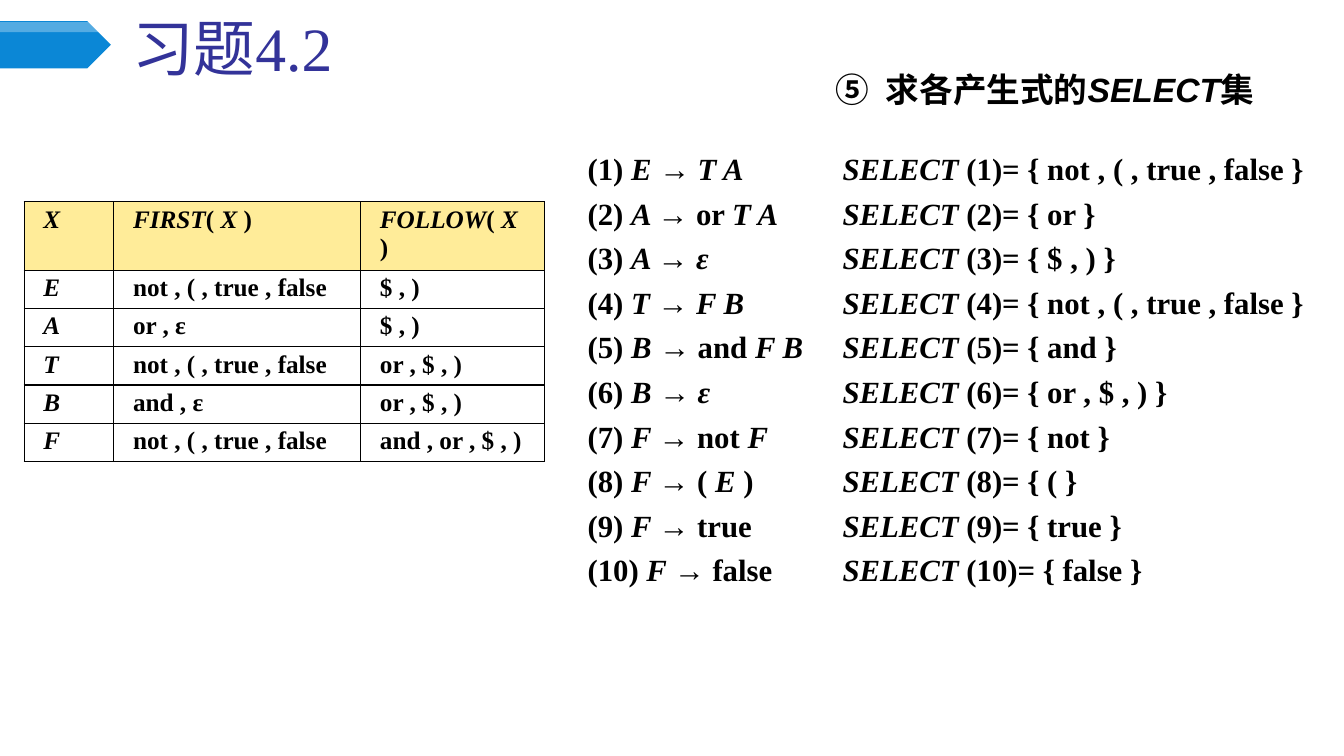
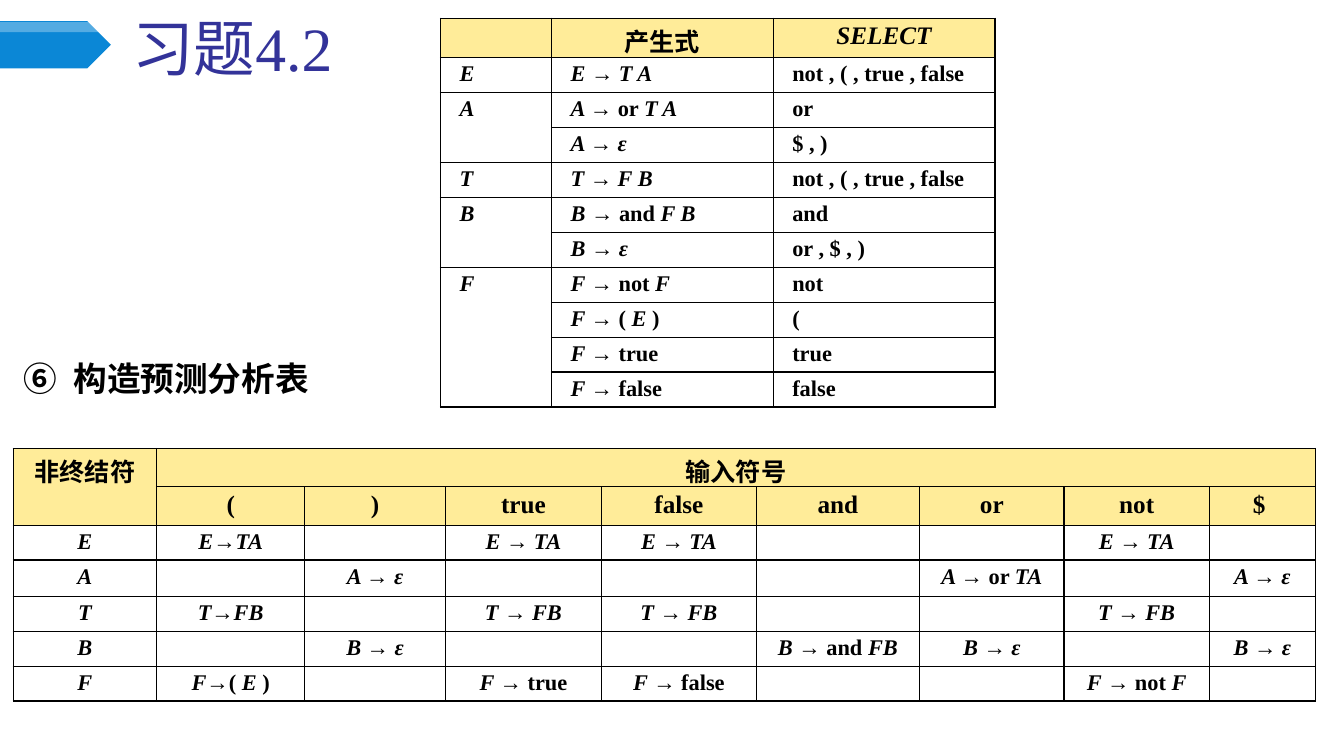
from itertools import groupby

from lxml import etree
from pptx import Presentation
from pptx import util as u
from pptx.dml.color import RGBColor
from pptx.enum import shapes, text
from pptx.oxml import ns

SLIDE_WIDTH, SLIDE_HEIGHT = u.Inches(13.33), u.Inches(7.5)
COLORS = {"band": "0B87D6", "gloss": "FFFFFF", "title": "333399",
          "text": "000000", "head": "FFEC99", "border": "000000"}
SERIF, SANS, CHINESE = "Times New Roman", "Arial", "Noto Sans CJK SC"
TITLE = "习题4.2"
TITLE_LAYOUT = 5

PRODUCTIONS = [
    ("E", "*T A*", "not , ( , true , false"),
    ("A", "or *T A*", "or"),
    ("A", "*ε*", "$ , )"),
    ("T", "*F B*", "not , ( , true , false"),
    ("B", "and *F B*", "and"),
    ("B", "*ε*", "or , $ , )"),
    ("F", "not *F*", "not"),
    ("F", "( *E *)", "("),
    ("F", "true", "true"),
    ("F", "false", "false"),
]
FIRST_FOLLOW = [
    ["*X*", "*FIRST*( *X *)", "*FOLLOW*( *X *)"],
    ["*E*", "not , ( , true , false", "$ , )"],
    ["*A*", "or , ε", "$ , )"],
    ["*T*", "not , ( , true , false", "or , $ , )"],
    ["*B*", "and , ε", "or , $ , )"],
    ["*F*", "not , ( , true , false", "and , or , $ , )"],
]
ANALYSIS = [
    ["非终结符", "输入符号", "", "", "", "", "", "", ""],
    ["", "(", ")", "true", "false", "and", "or", "not", "$ "],
    ["*E*", "*E→TA*", "", "*E → TA*", "*E → TA*", "", "", "*E → TA*", ""],
    ["*A*", "", "*A → ε*", "", "", "", "*A → *or *TA*", "", "*A → ε*"],
    ["*T*", "*T→FB*", "", "*T → FB*", "*T → FB*", "", "", "*T → FB*", ""],
    ["*B*", "", "*B → ε*", "", "", "*B → *and *FB*", "*B → ε*", "", "*B → ε*"],
    ["*F*", "*F→*( *E *)", "", "*F → *true", "*F → *false", "", "",
     "*F → *not *F*", ""],
]


def area(left, top, width, height):
    return (int(SLIDE_WIDTH * left / 100), int(SLIDE_HEIGHT * top / 100),
            int(SLIDE_WIDTH * width / 100), int(SLIDE_HEIGHT * height / 100))


def color(name):
    return RGBColor.from_string(COLORS[name])


def add_xml(parent, tag, **attributes):
    return etree.SubElement(parent, ns.qn(tag), attributes)


def format_run(run, size, latin, color_name="text", bold=True, italic=False):
    font = run.font
    font.size, font.name, font.bold, font.italic = u.Pt(size), latin, bold, italic
    font.color.rgb = color(color_name)
    add_xml(run.font._element, "a:ea", typeface=CHINESE)


def write(paragraph, markup, size, latin=SERIF):
    for index, piece in enumerate(markup.split("*")):
        if piece:
            run = paragraph.add_run()
            run.text = piece
            chinese = any(letter >= "一" for letter in piece)
            format_run(run, size, CHINESE if chinese else latin,
                       italic=index % 2 == 1)
    if not markup:
        add_xml(paragraph._p, "a:endParaRPr", sz=str(size * 100))


def add_band(slide, layout):
    for index, (name, box) in enumerate([("band", area(0, 2.8, 8.25, 6.27)),
                                         ("gloss", area(0, 2.93, 8.25, 1.33))]):
        shape = slide.shapes.add_shape(shapes.MSO_SHAPE.PENTAGON, *box)
        shape.shadow.inherit = False
        shape.fill.solid()
        shape.fill.fore_color.rgb = color(name)
        shape.line.fill.background()
        if name == "gloss":
            fill = shape.element.find(".//" + ns.qn("a:srgbClr"))
            add_xml(fill, "a:alpha", val="30000")
        layout.shapes.element.insert(2 + index, shape.element)


def clear_layout(layout):
    for placeholder in list(layout.placeholders):
        if placeholder.placeholder_format.type != shapes.PP_PLACEHOLDER.TITLE:
            layout.shapes.element.remove(placeholder.element)


def add_titled_slide(presentation, title_width):
    slide = presentation.slides.add_slide(presentation.slide_layouts[TITLE_LAYOUT])
    title = slide.shapes.title
    title.left, title.top, title.width, title.height = area(9.08, 2.4, title_width, 9.33)
    frame = title.text_frame
    frame.text = TITLE
    frame.vertical_anchor = text.MSO_ANCHOR.BOTTOM
    frame.auto_size = text.MSO_AUTO_SIZE.NONE
    paragraph = frame.paragraphs[0]
    paragraph.alignment = text.PP_ALIGN.LEFT
    format_run(paragraph.runs[0], 44, SERIF, "title", bold=False)
    return slide


def add_text_frame(slide, box):
    frame = slide.shapes.add_textbox(*box).text_frame
    frame.word_wrap = True
    return frame


def add_heading(slide, box, number, markup):
    paragraph = add_text_frame(slide, box).paragraphs[0]
    properties = paragraph._p.get_or_add_pPr()
    indent = u.Inches(0.5)
    properties.set("marL", str(indent))
    properties.set("indent", str(-indent))
    add_xml(properties, "a:buFont", typeface=CHINESE)
    add_xml(properties, "a:buAutoNum", type="circleNumDbPlain", startAt=str(number))
    write(paragraph, markup, 24, SANS)


def add_lines(slide, box, lines):
    frame = add_text_frame(slide, box)
    for index, line in enumerate(lines):
        paragraph = frame.paragraphs[0] if index == 0 else frame.add_paragraph()
        if index:
            paragraph.space_before = u.Pt(5.4)
        write(paragraph, line, 22)


def format_cell(cell, markup, size, centered, filled):
    cell.margin_left = cell.margin_right = u.Inches(0.19)
    cell.margin_top = cell.margin_bottom = u.Inches(0.04)
    properties = cell._tc.get_or_add_tcPr()
    for side in ("a:lnL", "a:lnR", "a:lnT", "a:lnB"):
        line = add_xml(properties, side, w=str(u.Pt(1)))
        add_xml(add_xml(line, "a:solidFill"), "a:srgbClr", val=COLORS["border"])
    if filled:
        cell.fill.solid()
        cell.fill.fore_color.rgb = color("head")
    else:
        cell.fill.background()
    paragraph = cell.text_frame.paragraphs[0]
    paragraph.alignment = text.PP_ALIGN.CENTER if centered else text.PP_ALIGN.LEFT
    write(paragraph, markup, size)


def add_grid(slide, box, rows, column_shares, row_shares, body_size,
             head_rows=1, center_head=True, center_body=False):
    table = slide.shapes.add_table(len(rows), len(rows[0]), *box).table
    table.first_row = table.horz_banding = False
    for column, share in zip(table.columns, column_shares):
        column.width = int(box[2] * share / sum(column_shares))
    for row, share in zip(table.rows, row_shares):
        row.height = int(box[3] * share / sum(row_shares))
    for row_index, row in enumerate(rows):
        head = row_index < head_rows
        for column_index, markup in enumerate(row):
            format_cell(table.cell(row_index, column_index), markup,
                        18 if head else body_size,
                        center_head if head else center_body, head)
    return table


def add_select_table(slide, box):
    rows = [["", "产生式", "*SELECT*"]]
    groups = []
    for head, members in groupby(PRODUCTIONS, key=lambda production: production[0]):
        start = len(rows)
        for index, (_, body, select) in enumerate(members):
            rows.append(["" if index else f"*{head}*", f"*{head} → *{body}", select])
        groups.append((start, len(rows) - 1))
    table = add_grid(slide, box, rows, [1, 2, 2], [39] + [34] * 10, 16)
    for start, end in groups:
        if end > start:
            table.cell(start, 0).merge(table.cell(end, 0))


def add_analysis_table(slide, box):
    table = add_grid(slide, box, ANALYSIS,
                     [142, 147, 139, 155, 153, 162, 143, 144, 105],
                     [38, 38, 34, 36, 34, 34, 34], 16,
                     head_rows=2, center_body=True)
    table.cell(0, 0).merge(table.cell(1, 0))
    table.cell(0, 1).merge(table.cell(0, 8))


def fill_select_slide(slide):
    add_heading(slide, area(61.43, 8.4, 36.3, 6.67), 5, "求各产生式的*SELECT*集")
    add_grid(slide, area(1.8, 26.67, 38.7, 34.27), FIRST_FOLLOW,
             [89, 245, 182], [67] + [38] * 5, 18, center_head=False)
    add_lines(slide, area(42.98, 19.2, 19.95, 58.93),
              [f"({number}) *{head} *→ {body}"
               for number, (head, body, _) in enumerate(PRODUCTIONS, 1)])
    add_lines(slide, area(61.95, 19.2, 38.05, 58.93),
              [f"*SELECT *({number})= {{ {select} }}"
               for number, (_, _, select) in enumerate(PRODUCTIONS, 1)])


def fill_analysis_slide(slide):
    add_heading(slide, area(0.98, 46.67, 25.73, 6.67), 6, "构造预测分析表")
    add_select_table(slide, area(32.78, 2.4, 41.25, 50.93))
    add_analysis_table(slide, area(0.98, 59.33, 96.9, 33.07))


def main():
    presentation = Presentation()
    presentation.slide_width, presentation.slide_height = SLIDE_WIDTH, SLIDE_HEIGHT
    layout = presentation.slide_layouts[TITLE_LAYOUT]
    clear_layout(layout)
    select_slide = add_titled_slide(presentation, 34.65)
    add_band(select_slide, layout)
    fill_select_slide(select_slide)
    fill_analysis_slide(add_titled_slide(presentation, 88.73))
    presentation.save("out.pptx")


if __name__ == "__main__":
    main()
